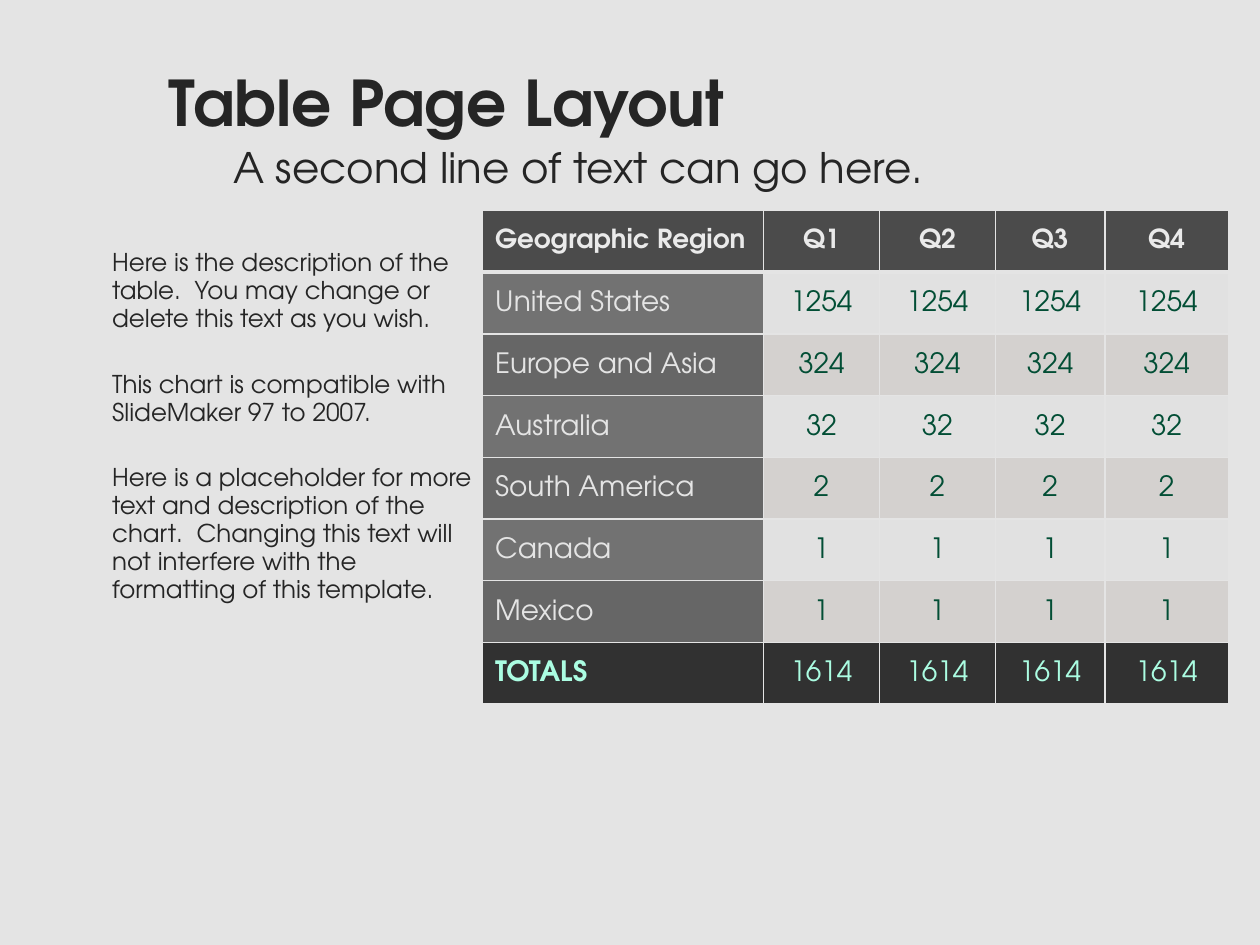
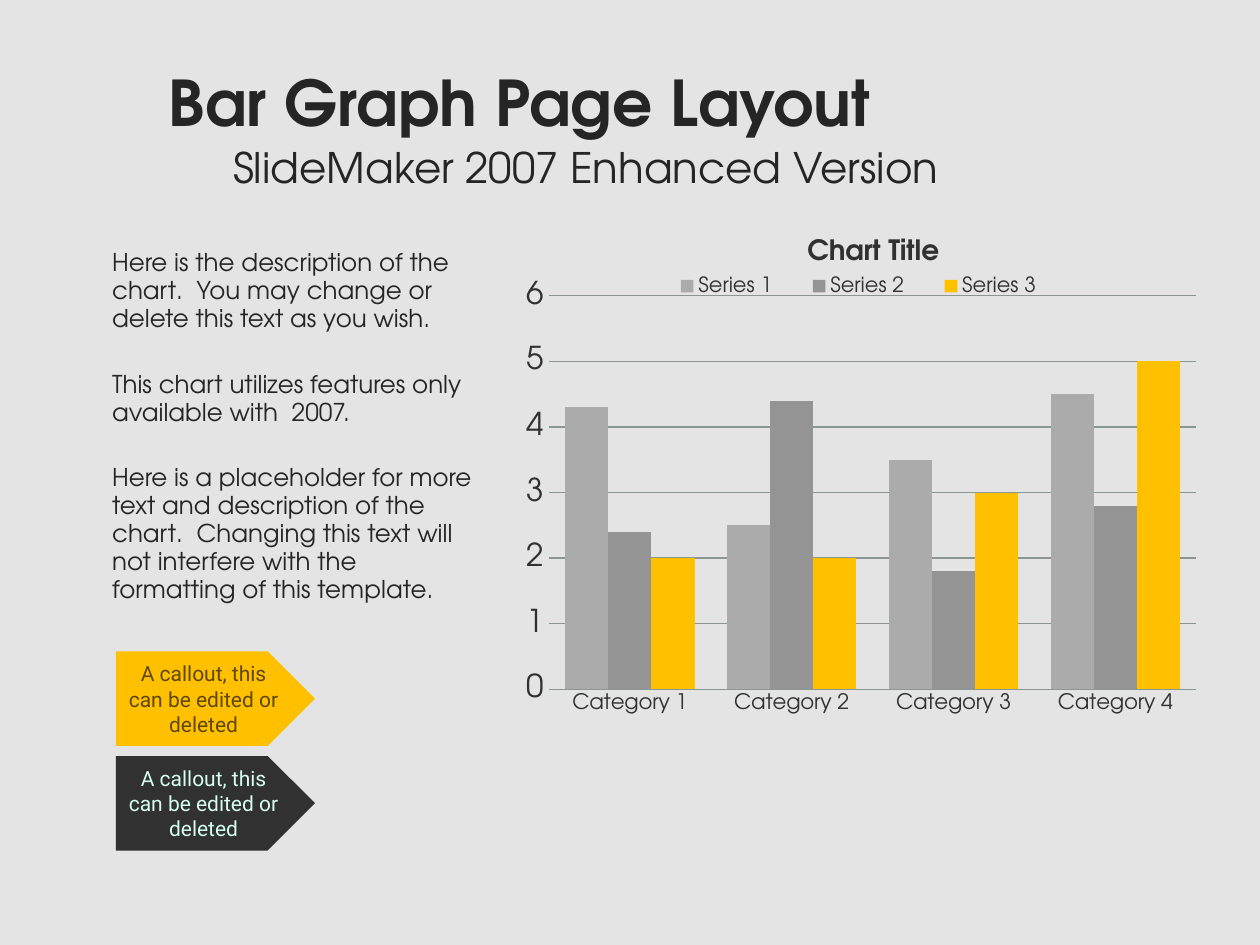
from dataclasses import dataclass

from lxml import etree
from pptx import Presentation
from pptx.chart.data import CategoryChartData
from pptx.dml.color import RGBColor
from pptx.enum.chart import XL_CHART_TYPE, XL_LEGEND_POSITION, XL_TICK_MARK
from pptx.enum.shapes import MSO_SHAPE
from pptx.enum.text import MSO_ANCHOR, MSO_AUTO_SIZE, PP_ALIGN
from pptx.oxml.ns import qn
from pptx.util import Inches, Pt

CLUSTERED = XL_CHART_TYPE.COLUMN_CLUSTERED
LEGEND_BOTTOM = XL_LEGEND_POSITION.BOTTOM
NO_TICK = XL_TICK_MARK.NONE
PENTAGON = MSO_SHAPE.PENTAGON
TOP, MIDDLE = MSO_ANCHOR.TOP, MSO_ANCHOR.MIDDLE
FIXED_SIZE = MSO_AUTO_SIZE.NONE
LEFT, CENTER = PP_ALIGN.LEFT, PP_ALIGN.CENTER
TWO_CONTENT = 3


def rgb(value):
    return RGBColor.from_string(value)


@dataclass(frozen=True)
class Theme:
    font: str = "TeX Gyre Adventor"
    callout_font: str = "Roboto"
    background: str = "E4E4E4"
    text: str = "252525"
    dark: str = "313131"
    gold: str = "FFC000"
    on_gold: str = "5F4700"
    on_dark: str = "D5FEF0"
    header: str = "333333"
    header_text: str = "EAEAEA"
    regions: tuple = ("727272", "666666")
    bands: tuple = ("E1E1E1", "D2CFCC")
    figure: str = "024E35"
    total: str = "ABFDE2"
    gridline: str = "8A9692"
    series: tuple = ("ABABAB", "949494", "FFC000")
    title_size: float = 36
    subtitle_size: float = 24
    body_size: float = 14
    body_leading: float = 16
    body_gap: float = 21.6
    header_size: float = 15
    cell_size: float = 16
    callout_size: float = 12
    chart_size: float = 18
    chart_title_size: float = 16
    category_size: float = 12.2
    legend_size: float = 12
    band_alpha: int = 86


class Deck:
    def __init__(self, theme):
        self.theme = theme
        self.presentation = Presentation()
        self.presentation.slide_width = Inches(10)
        self.presentation.slide_height = Inches(7.5)
        backdrop = self.presentation.slide_master.background.fill
        backdrop.solid()
        backdrop.fore_color.rgb = rgb(theme.background)
        self.slide = None

    def style(self, font, size, color, bold=False, name=None):
        font.name = name or self.theme.font
        font.size = Pt(size)
        font.bold = bold
        font.color.rgb = rgb(color)

    def add_text(self, paragraph, text, size, color, bold=False, align=LEFT, name=None):
        paragraph.alignment = align
        run = paragraph.add_run()
        run.text = text
        self.style(run.font, size, color, bold, name)

    def fill_placeholder(self, holder, box, lines, size, anchor=TOP, bold=False,
                         leading=None, gap=0, hanging=0):
        holder.left, holder.top, holder.width, holder.height = map(Inches, box)
        frame = holder.text_frame
        frame.word_wrap = True
        frame.auto_size = FIXED_SIZE
        frame.vertical_anchor = anchor
        for number, line in enumerate(lines):
            paragraph = frame.add_paragraph() if number else frame.paragraphs[0]
            properties = paragraph._p.get_or_add_pPr()
            properties.set("marL", str(Inches(hanging)))
            properties.set("indent", str(-Inches(hanging)))
            etree.SubElement(properties, qn("a:buNone"))
            paragraph.space_before = Pt(gap if number else 0)
            if leading:
                paragraph.line_spacing = Pt(leading)
            self.add_text(paragraph, line, size, self.theme.text, bold)

    def add_page(self, title, subtitle, description):
        theme = self.theme
        layout = self.presentation.slide_layouts[TWO_CONTENT]
        self.slide = self.presentation.slides.add_slide(layout)
        heading, story, tagline = self.slide.placeholders
        self.fill_placeholder(heading, (1.24, 0.45, 8.34, 0.7), [title],
                              theme.title_size, MIDDLE, bold=True)
        self.fill_placeholder(story, (0.79, 1.92, 3.12, 4.78), description,
                              theme.body_size, leading=theme.body_leading,
                              gap=theme.body_gap)
        self.fill_placeholder(tagline, (1.75, 1.07, 7.75, 0.5), [subtitle],
                              theme.subtitle_size, hanging=0.19)

    def add_borders(self, cell, bottom):
        properties = cell._tc.get_or_add_tcPr()
        for side, points in (("L", 1), ("R", 1), ("T", 1), ("B", bottom)):
            line = etree.SubElement(properties, qn(f"a:ln{side}"), w=str(Pt(points)))
            paint = etree.SubElement(line, qn("a:solidFill"))
            etree.SubElement(paint, qn("a:srgbClr"), val=self.theme.background)

    def add_cell(self, cell, text, fill, color, size, align, bold=False,
                 translucent=False, bottom=1):
        self.add_borders(cell, bottom)
        cell.fill.solid()
        cell.fill.fore_color.rgb = rgb(fill)
        if translucent:
            paint = cell._tc.tcPr.find(qn("a:solidFill")).find(qn("a:srgbClr"))
            etree.SubElement(paint, qn("a:alpha"), val=str(self.theme.band_alpha * 1000))
        cell.margin_left = cell.margin_right = Inches(0.1)
        cell.margin_top, cell.margin_bottom = Inches(0.15), Inches(0.05)
        self.add_text(cell.text_frame.paragraphs[0], text, size, color, bold, align)

    def add_region_table(self, box, widths, row_height, header, regions, totals):
        theme = self.theme
        rows = [header, *regions, totals]
        table = self.slide.shapes.add_table(
            len(rows), len(header), *map(Inches, box)).table
        table.first_row = table.horz_banding = False
        for column, width in zip(table.columns, widths):
            column.width = Inches(width)
        for number, row in enumerate(rows):
            table.rows[number].height = Inches(row_height)
            band = (number - 1) % 2
            for position, text in enumerate(row):
                label = position == 0
                look = {"size": theme.cell_size, "align": LEFT if label else CENTER}
                if row is header:
                    look.update(fill=theme.header, color=theme.header_text, bold=True,
                                size=theme.header_size, translucent=True, bottom=3)
                elif row is totals:
                    look.update(fill=theme.dark, color=theme.total, bold=label)
                elif label:
                    look.update(fill=theme.regions[band], color=theme.background)
                else:
                    look.update(fill=theme.bands[band], color=theme.figure,
                                translucent=True)
                self.add_cell(table.cell(number, position), text, **look)

    def place(self, part, index, **fractions):
        previous = part.find(qn("c:layout"))
        if previous is not None:
            part.remove(previous)
        layout = etree.Element(qn("c:layout"))
        manual = etree.SubElement(layout, qn("c:manualLayout"))
        if index == 0:
            etree.SubElement(manual, qn("c:layoutTarget"), val="inner")
        for mode in ("xMode", "yMode"):
            etree.SubElement(manual, qn(f"c:{mode}"), val="edge")
        for key, value in fractions.items():
            etree.SubElement(manual, qn(f"c:{key}"), val=str(value))
        part.insert(index, layout)

    def add_bar_graph(self, box, title, categories, series):
        theme = self.theme
        data = CategoryChartData()
        data.categories = categories
        for name, values in series.items():
            data.add_series(name, values)
        chart = self.slide.shapes.add_chart(CLUSTERED, *map(Inches, box), data).chart
        self.style(chart.font, theme.chart_size, theme.figure)

        chart.has_title = True
        self.add_text(chart.chart_title.text_frame.paragraphs[0], title,
                      theme.chart_title_size, theme.dark, bold=True, align=CENTER)
        self.place(chart.chart_title._element, 1, x=0.44, y=0.05)

        chart.has_legend = True
        chart.legend.position = LEGEND_BOTTOM
        chart.legend.include_in_layout = False
        self.style(chart.legend.font, theme.legend_size, theme.dark)
        self.place(chart.legend._element, 1, x=0.22, y=0.11, w=0.6, h=0.05)
        self.place(chart._chartSpace.chart.plotArea, 0, x=0.08, y=0.15, w=0.92, h=0.61)

        bars = chart.plots[0]
        bars.gap_width = 75
        bars.overlap = 0
        bars.vary_by_categories = False
        for bar, color in zip(bars.series, theme.series):
            bar.format.fill.solid()
            bar.format.fill.fore_color.rgb = rgb(color)

        scale, names = chart.value_axis, chart.category_axis
        scale.minimum_scale, scale.maximum_scale, scale.major_unit = 0, 6, 1
        scale.has_major_gridlines = True
        scale.format.line.fill.background()
        self.style(scale.tick_labels.font, theme.chart_size, theme.dark)
        self.style(names.tick_labels.font, theme.category_size, theme.dark)
        for axis in (scale, names):
            axis.major_tick_mark = axis.minor_tick_mark = NO_TICK
        for line in (scale.major_gridlines.format.line, names.format.line):
            line.color.rgb = rgb(theme.gridline)
            line.width = Pt(0.75)

    def add_callout(self, top, text, fill, color):
        callout = self.slide.shapes.add_shape(
            PENTAGON, Inches(0.92), Inches(top), Inches(1.58), Inches(0.75))
        callout.shadow.inherit = False
        callout.fill.solid()
        callout.fill.fore_color.rgb = rgb(fill)
        callout.line.fill.background()
        frame = callout.text_frame
        frame.word_wrap = True
        frame.vertical_anchor = MIDDLE
        self.add_text(frame.paragraphs[0], text, self.theme.callout_size, color,
                      align=CENTER, name=self.theme.callout_font)


def main():
    theme = Theme()
    deck = Deck(theme)
    more_text = ("Here is a placeholder for more text and description of the chart.  "
                 "Changing this text will not interfere with the formatting of this "
                 "template.")

    deck.add_page(
        "Table Page Layout", "A second line of text can go here.",
        ["Here is the description of the table.  You may change or delete this text "
         "as you wish.",
         "This chart is compatible with SlideMaker 97 to 2007.",
         more_text])
    quarters = ["Q1", "Q2", "Q3", "Q4"]
    sales = {"United States": "1254", "Europe and Asia": "324", "Australia": "32",
             "South America": "2", "Canada": "1", "Mexico": "1"}
    deck.add_region_table(
        (3.83, 1.67, 5.92, 3.92), (2.23, 0.92, 0.92, 0.87, 0.98), 0.49,
        ["Geographic Region", *quarters],
        [[region, *[amount] * len(quarters)] for region, amount in sales.items()],
        ["TOTALS", *["1614"] * len(quarters)])

    deck.add_page(
        "Bar Graph Page Layout", "SlideMaker 2007 Enhanced Version",
        ["Here is the description of the chart.  You may change or delete this text "
         "as you wish.",
         "This chart utilizes features only available with  2007.",
         more_text])
    deck.add_bar_graph(
        (3.91, 1.58, 5.59, 5.12), "Chart Title",
        [f"Category {number}" for number in range(1, 5)],
        {"Series 1": (4.3, 2.5, 3.5, 4.5),
         "Series 2": (2.4, 4.4, 1.8, 2.8),
         "Series 3": (2, 2, 3, 5)})
    for top, fill, color in ((5.17, theme.gold, theme.on_gold),
                             (6, theme.dark, theme.on_dark)):
        deck.add_callout(top, "A callout, this can be edited or deleted", fill, color)

    deck.presentation.save("out.pptx")


if __name__ == "__main__":
    main()
